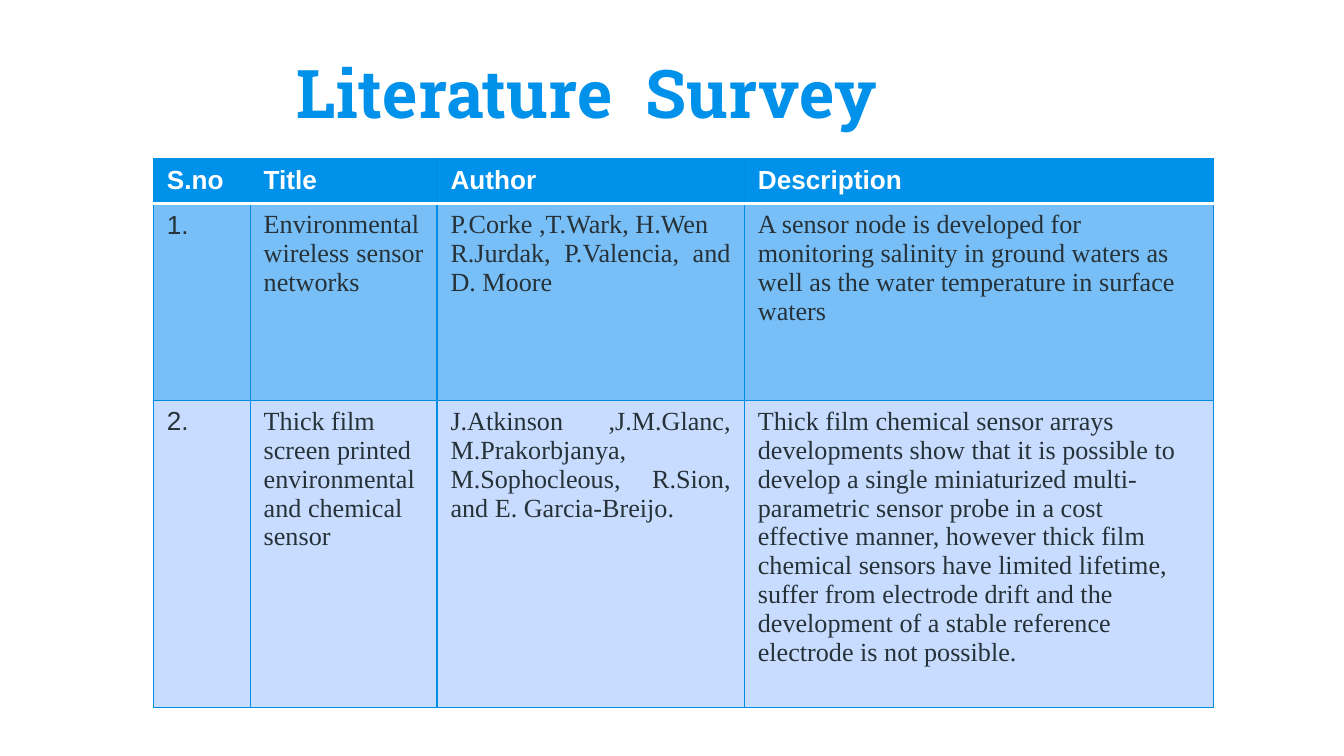
"""Build the literature survey slide with its table of papers."""
from lxml import etree
from pptx import Presentation
from pptx.dml.color import RGBColor
from pptx.enum.text import MSO_ANCHOR, PP_ALIGN
from pptx.oxml.ns import qn
from pptx.util import Cm, Pt

LEFT, JUSTIFY = PP_ALIGN.LEFT, PP_ALIGN.JUSTIFY
BOTTOM, TOP = MSO_ANCHOR.BOTTOM, MSO_ANCHOR.TOP
BLUE = RGBColor(0x00, 0x91, 0xEA)
MID_BLUE = RGBColor(0x78, 0xBE, 0xF7)
PALE_BLUE = RGBColor(0xC8, 0xDC, 0xFF)
RULE_BLUE = RGBColor(0x00, 0x8E, 0xE5)
WHITE = RGBColor(0xFF, 0xFF, 0xFF)
INK = RGBColor(0x26, 0x32, 0x38)

HEADING = "Literature  Survey"
SURVEY = [
    ("S.no", "Title", "Author", "Description"),
    (
        "1.",
        "Environmental wireless sensor networks",
        "P.Corke ,T.Wark, H.Wen\nR.Jurdak, P.Valencia, and D. Moore",
        "A sensor node is developed for monitoring salinity in ground waters "
        "as well as the water temperature in surface waters",
    ),
    (
        "2.",
        "Thick film screen printed environmental and chemical sensor",
        "J.Atkinson ,J.M.Glanc, M.Prakorbjanya, M.Sophocleous, R.Sion, "
        "and E. Garcia-Breijo.",
        "Thick film chemical sensor arrays developments show that it is "
        "possible to develop a single miniaturized multi-parametric sensor "
        "probe in a cost effective manner, however thick film chemical "
        "sensors have limited lifetime, suffer from electrode drift and the "
        "development of a stable reference electrode is not possible.",
    ),
]
COLUMN_WIDTHS = (1.83, 3.53, 5.81, 8.86)
ROW_HEIGHTS = (0.84, 3.72, 5.81)
ROW_FILLS = (BLUE, MID_BLUE, PALE_BLUE)
JUSTIFIED = {(1, 1), (1, 2), (2, 2)}

HEADING_FONT = {"name": "Roboto Slab", "size": Pt(36), "bold": True}
HEADER_FONT = {"name": "Arial", "size": Pt(14), "bold": True}
NUMBER_FONT = {"name": "Arial", "size": Pt(14), "bold": False}
BODY_FONT = {"name": "Times New Roman", "size": Pt(14), "bold": False}
HEADING_FRAME = {"word_wrap": True, "vertical_anchor": BOTTOM}


def write(frame, text, font, color, alignment=LEFT):
    frame.text = text
    for paragraph in frame.paragraphs:
        paragraph.alignment = alignment
        for run in paragraph.runs:
            for key, value in font.items():
                setattr(run.font, key, value)
            run.font.color.rgb = color


def add_border(cell, position, side, color, width):
    line = etree.Element(qn(f"a:ln{side}"), w=str(Pt(width)))
    fill = etree.SubElement(line, qn("a:solidFill"))
    etree.SubElement(fill, qn("a:srgbClr"), val=str(color))
    cell._tc.get_or_add_tcPr().insert(position, line)


def add_heading(slide):
    box = slide.shapes.add_textbox(Cm(5.36), Cm(0), Cm(16.03), Cm(2.74))
    frame = box.text_frame
    for key, value in HEADING_FRAME.items():
        setattr(frame, key, value)
    for side in ("left", "right", "top", "bottom"):
        setattr(frame, f"margin_{side}", Cm(0.25))
    write(frame, HEADING, HEADING_FONT, BLUE)


def style_cell(cell, row, column, text):
    header = row == 0
    font = HEADER_FONT if header else BODY_FONT if column else NUMBER_FONT
    alignment = JUSTIFY if (row, column) in JUSTIFIED else LEFT
    write(cell.text_frame, text, font, WHITE if header else INK, alignment)
    cell.vertical_anchor = TOP
    cell.fill.solid()
    cell.fill.fore_color.rgb = ROW_FILLS[row]
    for position, side in enumerate("LRTB"):
        under_header = (row, side) in {(0, "B"), (1, "T")}
        color, width = (WHITE, 2) if under_header else (RULE_BLUE, 0.75)
        add_border(cell, position, side, color, width)


def add_survey(slide):
    table = slide.shapes.add_table(
        len(SURVEY), len(COLUMN_WIDTHS), Cm(2.9), Cm(3),
        Cm(sum(COLUMN_WIDTHS)), Cm(sum(ROW_HEIGHTS)),
    ).table
    for column, width in zip(table.columns, COLUMN_WIDTHS):
        column.width = Cm(width)
    for row, height in zip(table.rows, ROW_HEIGHTS):
        row.height = Cm(height)
    for row, texts in enumerate(SURVEY):
        for column, text in enumerate(texts):
            style_cell(table.cell(row, column), row, column, text)


def main():
    deck = Presentation()
    deck.slide_width, deck.slide_height = Cm(25.4), Cm(14.29)
    slide = deck.slides.add_slide(deck.slide_layouts[6])
    add_heading(slide)
    add_survey(slide)
    deck.save("out.pptx")


if __name__ == "__main__":
    main()
